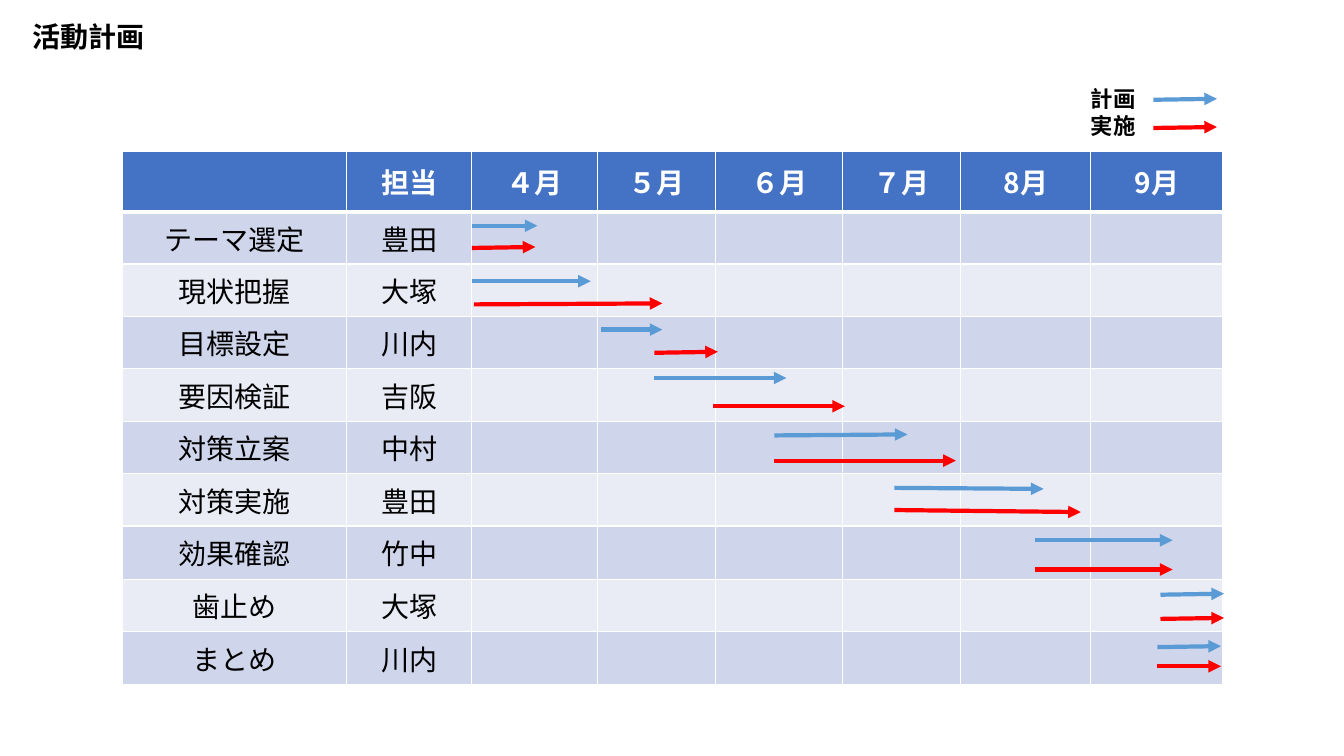
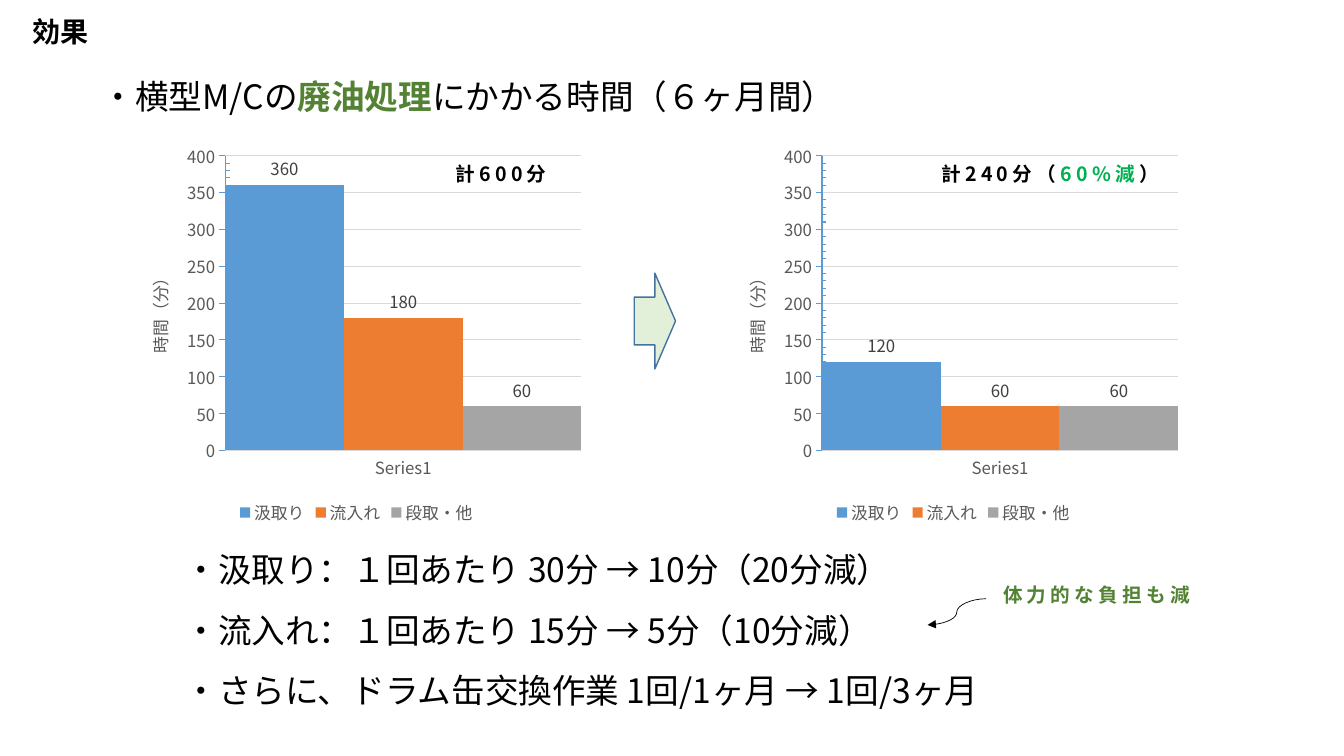
from dataclasses import dataclass

from lxml import etree
from pptx import Presentation
from pptx.chart import data as cd
from pptx.dml.color import RGBColor
from pptx.enum import chart as ch, shapes as sh, text as tx
from pptx.oxml.ns import qn
from pptx.util import Inches, Pt


@dataclass(frozen=True)
class Theme:
    face: str = "Noto Sans CJK JP"
    black: str = "000000"
    white: str = "FFFFFF"
    head: str = "4472C4"
    odd: str = "CFD5EA"
    even: str = "E9EBF5"
    blue: str = "5B9BD5"
    red: str = "FF0000"
    orange: str = "ED7D31"
    gray: str = "A5A5A5"
    grid: str = "D9D9D9"
    axis: str = "595959"
    label: str = "404040"
    green: str = "548235"
    gain: str = "00B050"
    pale: str = "E2F0D9"
    edge: str = "43739E"
    title: int = 20
    body: int = 24
    key: int = 16
    note: int = 14
    small: int = 12


T = Theme()

HEADS = ["", "担当", "４月", "５月", "６月", "７月", "8月", "9月"]
COLS = [2.23, 1.24, 1.25, 1.17, 1.26, 1.17, 1.29, 1.31]
ROWS = [0.6] + [0.52] * 6 + [0.53] + [0.52] * 2
TASKS = [
    ("テーマ選定", "豊田", (4.68, 2.24, 5.33, 2.24), (4.68, 2.46, 5.31, 2.45)),
    ("現状把握", "大塚", (4.68, 2.79, 5.86, 2.79), (4.7, 3.02, 6.57, 3.01)),
    ("目標設定", "川内", (5.96, 3.27, 6.57, 3.27), (6.49, 3.5, 7.12, 3.49)),
    ("要因検証", "吉阪", (6.49, 3.75, 7.8, 3.75), (7.07, 4.03, 8.38, 4.03)),
    ("対策立案", "中村", (7.68, 4.32, 9, 4.31), (7.68, 4.57, 9.48, 4.57)),
    ("対策実施", "豊田", (8.87, 4.84, 10.35, 4.85), (8.87, 5.06, 10.72, 5.08)),
    ("効果確認", "竹中", (10.27, 5.36, 11.63, 5.36), (10.27, 5.65, 11.63, 5.65)),
    ("歯止め", "大塚", (11.51, 5.9, 12.14, 5.89), (11.51, 6.14, 12.14, 6.13)),
    ("まとめ", "川内", (11.48, 6.42, 12.11, 6.41), (11.48, 6.61, 12.11, 6.61)),
]
KEYS = ((11.44, 0.99, 12.07, 0.98), (11.44, 1.27, 12.07, 1.26))

STEPS = [("汲取り", T.blue), ("流入れ", T.orange), ("段取・他", T.gray)]
CHARTS = [(1.21, (360, 180, 60)), (7.13, (120, 60, 60))]
PLOT = {"x": 0.22, "y": 0.05, "w": 0.76, "h": 0.75}
LEAD = [("・横型M/Cの", T.black, False), ("廃油処理", T.green, True),
        ("にかかる時間（６ヶ月間）", T.black, False)]
NOTES = [
    ((4.42, 1.57, 1.25, 0.31), [("計600分", T.black, True)]),
    ((9.24, 1.55, 2.57, 0.34), [("計240分（", T.black, True),
                                ("60%減", T.gain, True), ("）", T.black, True)]),
    ((9.85, 5.73, 2.11, 0.34), [("体力的な負担も減", T.green, True)]),
]
POINTS = [
    "・汲取り：１回あたり 30分 → 10分（20分減）",
    "・流入れ：１回あたり 15分 → 5分（10分減）",
    "・さらに、ドラム缶交換作業 1回/1ヶ月 → 1回/3ヶ月",
]


def rgb(hue):
    return RGBColor.from_string(hue)


def sub(node, tag, **attrs):
    return etree.SubElement(node, qn(tag), attrs)


def style(font, size, hue=T.black, bold=False, gap=0):
    font.size, font.bold, font.name = Pt(size), bold, T.face
    font.color.rgb = rgb(hue)
    props = font._element
    east = etree.Element(qn("a:ea"), typeface=T.face)
    props.find(qn("a:latin")).addnext(east)
    if gap:
        props.set("spc", str(gap * 100))


def place(shape, box):
    shape.left, shape.top, shape.width, shape.height = map(Inches, box)


def title(slide, words, top):
    shape = slide.shapes.title
    place(shape, (0.22, top, 1.32, 0.4))
    frame = shape.text_frame
    frame.text = words
    frame.word_wrap = False
    frame.auto_size = tx.MSO_AUTO_SIZE.NONE
    frame.vertical_anchor = tx.MSO_ANCHOR.MIDDLE
    para = frame.paragraphs[0]
    para.alignment, para.line_spacing = tx.PP_ALIGN.LEFT, 0.9
    style(para.runs[0].font, T.title, bold=True)


def label(slide, box, parts, size, gap=0, anchor=tx.MSO_ANCHOR.MIDDLE):
    frame = slide.shapes.add_textbox(*map(Inches, box)).text_frame
    frame.word_wrap = False
    frame.auto_size = tx.MSO_AUTO_SIZE.SHAPE_TO_FIT_TEXT
    frame.vertical_anchor = anchor
    para = frame.paragraphs[0]
    for words, hue, bold in parts:
        run = para.add_run()
        run.text = words
        style(run.font, size, hue, bold, gap)


def arrow(slide, ends, hue, width=3, kind=sh.MSO_CONNECTOR.STRAIGHT):
    line = slide.shapes.add_connector(kind, *map(Inches, ends))
    line.line.color.rgb = rgb(hue)
    line.line.width = Pt(width)
    props = line.element.spPr
    sub(props.find(qn("a:ln")), "a:tailEnd", type="triangle")
    sub(props, "a:effectLst")


def border(cell, top, base):
    props = cell._tc.get_or_add_tcPr()
    sides = (("L", 1), ("R", 1), ("T", top), ("B", base))
    for spot, (side, width) in enumerate(sides):
        line = etree.Element(qn("a:ln" + side), w=str(Pt(width)))
        sub(sub(line, "a:solidFill"), "a:srgbClr", val=T.white)
        props.insert(spot, line)


def table(slide):
    rows = [HEADS] + [[task, who] + [""] * 6 for task, who, *_ in TASKS]
    box = map(Inches, (1.21, 1.5, sum(COLS), sum(ROWS)))
    grid = slide.shapes.add_table(len(rows), len(COLS), *box).table
    for col, width in zip(grid.columns, COLS):
        col.width = Inches(width)
    for i, (words, height) in enumerate(zip(rows, ROWS)):
        grid.rows[i].height = Inches(height)
        fill = T.head if i == 0 else T.odd if i % 2 else T.even
        for j, word in enumerate(words):
            cell = grid.cell(i, j)
            cell.fill.solid()
            cell.fill.fore_color.rgb = rgb(fill)
            border(cell, 3 if i == 1 else 1, 3 if i == 0 else 1)
            cell.vertical_anchor = tx.MSO_ANCHOR.MIDDLE
            para = cell.text_frame.paragraphs[0]
            para.text = word
            para.alignment = tx.PP_ALIGN.CENTER
            for run in para.runs:
                style(run.font, T.title, T.black if i else T.white, i == 0)


def plan(slide):
    title(slide, "活動計画", 0.18)
    table(slide)
    label(slide, (10.72, 0.8, 0.65, 0.64), [], T.key, anchor=tx.MSO_ANCHOR.TOP)
    para = slide.shapes[-1].text_frame.paragraphs[0]
    para.text = "計画\v実施"
    for run in para.runs:
        style(run.font, T.key, bold=True)
    for pair in [KEYS] + [task[2:] for task in TASKS]:
        for ends, hue in zip(pair, (T.blue, T.red)):
            arrow(slide, ends, hue)


def chart(slide, left, vals):
    data = cd.CategoryChartData()
    data.categories = ["Series1"]
    for (name, _), val in zip(STEPS, vals):
        data.add_series(name, [val])
    box = map(Inches, (left, 1.35, 4.65, 3.9))
    kind = ch.XL_CHART_TYPE.COLUMN_CLUSTERED
    graph = slide.shapes.add_chart(kind, *box, data).chart
    style(graph.font, T.small, T.axis)
    graph.has_title = False
    graph.has_legend = True
    graph.legend.position = ch.XL_LEGEND_POSITION.BOTTOM
    graph.legend.include_in_layout = False
    style(graph.legend.font, T.small, T.axis)

    plot = graph.plots[0]
    plot.gap_width, plot.overlap = 0, 0
    plot.vary_by_categories = False
    plot.has_data_labels = True
    tags = plot.data_labels
    tags.show_value = True
    tags.position = ch.XL_LABEL_POSITION.OUTSIDE_END
    style(tags.font, T.small, T.label)
    for part, (_, hue) in zip(plot.series, STEPS):
        part.format.fill.solid()
        part.format.fill.fore_color.rgb = rgb(hue)

    base, side = graph.category_axis, graph.value_axis
    base.major_tick_mark = ch.XL_TICK_MARK.NONE
    base.format.line.fill.background()
    side.minimum_scale, side.maximum_scale, side.major_unit = 0, 400, 50
    side.minor_unit = 10
    side.major_tick_mark = ch.XL_TICK_MARK.OUTSIDE
    side.minor_tick_mark = ch.XL_TICK_MARK.INSIDE
    side.has_major_gridlines = True
    for line, hue in ((side.format.line, T.blue),
                      (side.major_gridlines.format.line, T.grid)):
        line.color.rgb = rgb(hue)
        line.width = Pt(0.75)
    for axis in (base, side):
        style(axis.tick_labels.font, T.small, T.axis)
    frame = side.axis_title.text_frame
    frame.text = "時間（分）"
    style(frame.paragraphs[0].runs[0].font, T.small, T.axis)
    turn = frame._txBody.find(qn("a:bodyPr"))
    turn.set("rot", "-5400000")
    turn.set("vert", "horz")

    area = graph._chartSpace.find(".//" + qn("c:plotArea"))
    for old in area.findall(qn("c:layout")):
        area.remove(old)
    lay = etree.Element(qn("c:layout"))
    area.insert(0, lay)
    spot = sub(lay, "c:manualLayout")
    sub(spot, "c:layoutTarget", val="inner")
    for key in "xy":
        sub(spot, f"c:{key}Mode", val="edge")
    for key, val in PLOT.items():
        sub(spot, "c:" + key, val=str(val))


def points(slide):
    body = slide.placeholders[1]
    place(body, (1.73, 5.24, 8.7, 1.82))
    frame = body.text_frame
    frame.text = "\n".join(POINTS)
    frame.word_wrap = True
    frame.auto_size = tx.MSO_AUTO_SIZE.NONE
    frame.vertical_anchor = tx.MSO_ANCHOR.MIDDLE
    for para in frame.paragraphs:
        para.line_spacing, para.space_before = 1.5, Pt(0)
        props = para._p.get_or_add_pPr()
        props.set("marL", "0")
        props.set("indent", "0")
        sub(props, "a:buNone")
        style(para.runs[0].font, T.body)


def effect(slide):
    title(slide, "効果", 0.13)
    for left, vals in CHARTS:
        chart(slide, left, vals)
    box = map(Inches, (6.29, 2.71, 0.41, 0.95))
    block = slide.shapes.add_shape(sh.MSO_SHAPE.RIGHT_ARROW, *box)
    block.shadow.inherit = False
    block.fill.solid()
    block.fill.fore_color.rgb = rgb(T.pale)
    block.line.color.rgb = rgb(T.edge)
    block.line.width = Pt(1)
    label(slide, (0.91, 0.7, 7.68, 0.5), LEAD, T.body, anchor=tx.MSO_ANCHOR.TOP)
    points(slide)
    for box, parts in NOTES:
        label(slide, box, parts, T.note, gap=3)
    arrow(slide, (9.78, 5.94, 9.2, 6.2), T.black, 0.5, sh.MSO_CONNECTOR.CURVE)


def main():
    deck = Presentation()
    deck.slide_width, deck.slide_height = Inches(13.33), Inches(7.5)
    for build, layout in ((plan, 5), (effect, 1)):
        build(deck.slides.add_slide(deck.slide_layouts[layout]))
    deck.save("out.pptx")


if __name__ == "__main__":
    main()
